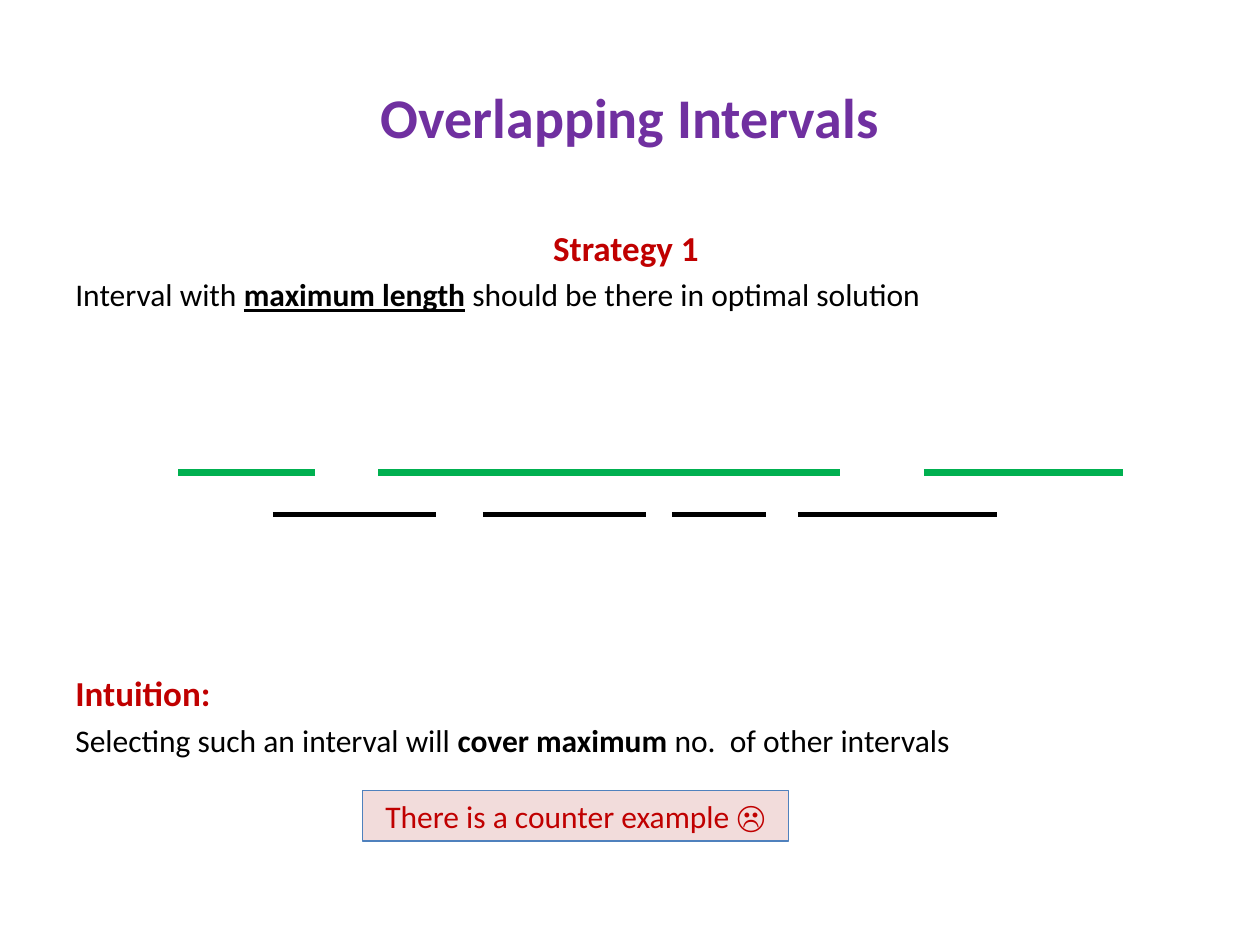
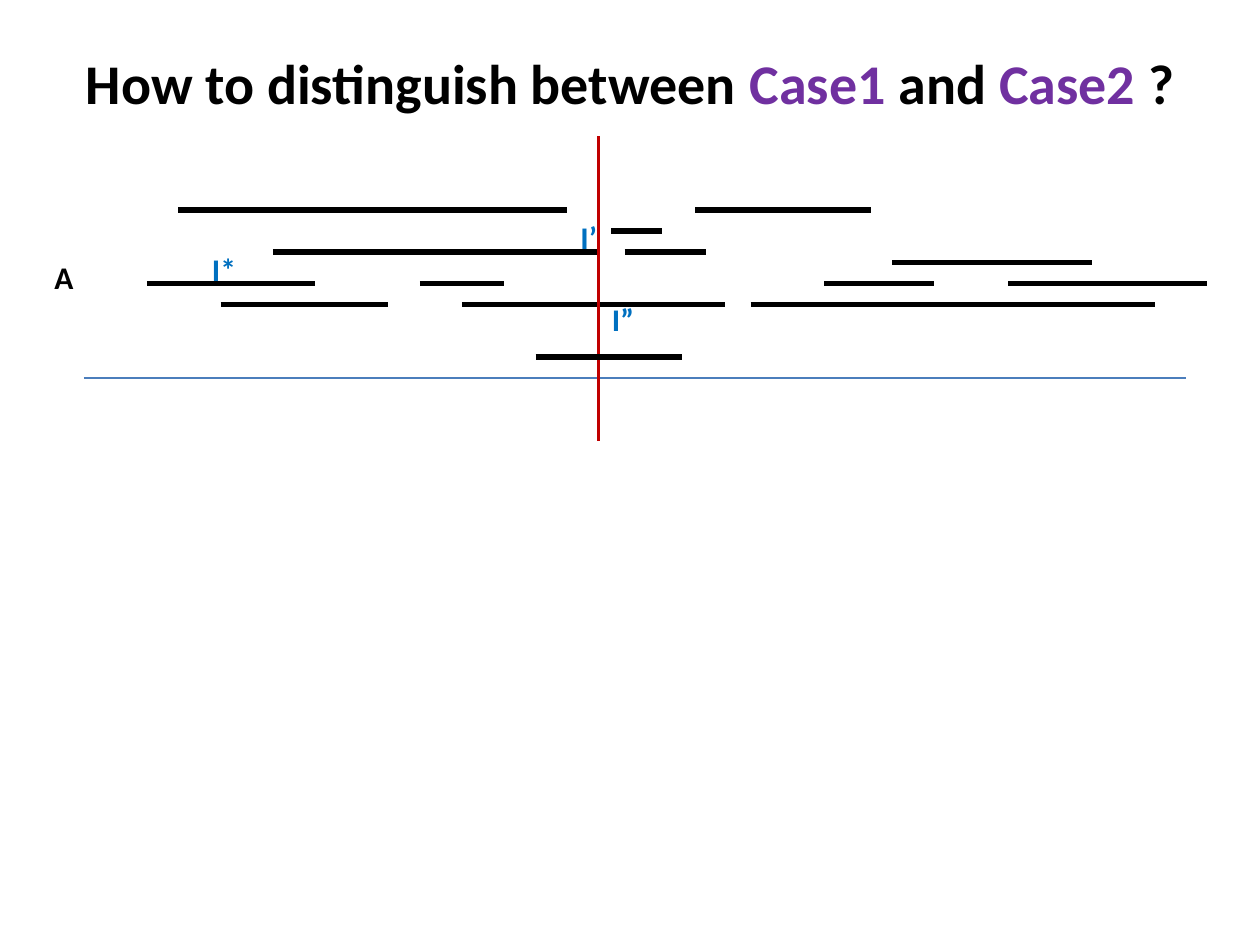
"""Build two slides about overlapping intervals on a 120 by 90 grid."""
from lxml import etree
from pptx import Presentation
from pptx.dml.color import RGBColor
from pptx.enum.shapes import MSO_CONNECTOR, MSO_SHAPE
from pptx.enum.text import MSO_ANCHOR, PP_ALIGN
from pptx.oxml.ns import qn
from pptx.util import Inches, Pt

STRAIGHT = MSO_CONNECTOR.STRAIGHT
RECTANGLE = MSO_SHAPE.RECTANGLE
TOP, MIDDLE = MSO_ANCHOR.TOP, MSO_ANCHOR.MIDDLE
LEFT, CENTER = PP_ALIGN.LEFT, PP_ALIGN.CENTER

SLIDE_WIDTH, SLIDE_HEIGHT = Inches(10), Inches(7.5)
CELL = SLIDE_WIDTH / 120
FONT = "Calibri"
TITLE_BOX = (6, 3.6, 108, 15)
BODY_BOX = (6, 21, 108, 59.4)
LABEL_HEIGHT = 4.8
COLORS = {
    "black": "000000",
    "purple": "7030A0",
    "red": "C00000",
    "green": "00B050",
    "blue": "0070C0",
    "axis": "4B7EBC",
    "border": "4F81BD",
    "pink": "F2DCDB",
}


def cells(*counts):
    """Convert grid cells to slide lengths."""
    return [round(count * CELL) for count in counts]


def color(name):
    """Look up a named colour."""
    return RGBColor.from_string(COLORS[name])


def add_run(paragraph, text, size=18, ink="black", bold=False, underline=False):
    """Append formatted text to a paragraph."""
    run = paragraph.add_run()
    run.text = text
    font = run.font
    font.name, font.size = FONT, Pt(size)
    font.bold, font.underline = bold, underline
    font.color.rgb = color(ink)


def write(paragraph, runs, align=LEFT, before=0):
    """Fill a paragraph with pairs of text and format."""
    paragraph.alignment = align
    paragraph.space_before = Pt(before)
    for text, style in runs:
        add_run(paragraph, text, **style)


def add_text_box(slide, box, anchor=TOP, wrap=True):
    """Add an empty text box and return its text frame."""
    frame = slide.shapes.add_textbox(*cells(*box)).text_frame
    frame.word_wrap = wrap
    frame.vertical_anchor = anchor
    return frame


def add_title(slide, parts, lift=0):
    """Add a title from pairs of text and colour, raised by a bottom margin."""
    frame = add_text_box(slide, TITLE_BOX, MIDDLE)
    frame.margin_bottom += Inches(lift)
    runs = [(text, dict(size=32, ink=ink, bold=True)) for text, ink in parts]
    write(frame.paragraphs[0], runs, CENTER)


def add_label(slide, text, left, top, width, ink):
    """Add a short bold label."""
    frame = add_text_box(slide, (left, top, width, LABEL_HEIGHT), wrap=False)
    write(frame.paragraphs[0], [(text, dict(ink=ink, bold=True))])


def add_line(slide, start, end, ink="black", weight=3):
    """Draw a straight line between two grid points."""
    line = slide.shapes.add_connector(STRAIGHT, *cells(*start, *end))
    line.line.color.rgb = color(ink)
    line.line.width = Pt(weight)
    etree.SubElement(line._element.spPr, qn("a:effectLst"))


def add_intervals(slide, row, spans, ink="black", weight=3):
    """Draw intervals side by side on one grid row."""
    for start, end in spans:
        add_line(slide, (start, row), (end, row), ink, weight)


def add_callout(slide, text, box):
    """Add a bordered remark."""
    shape = slide.shapes.add_shape(RECTANGLE, *cells(*box))
    shape.shadow.inherit = False
    shape.fill.solid()
    shape.fill.fore_color.rgb = color("pink")
    shape.line.color.rgb = color("border")
    shape.line.width = Pt(0.75)
    shape.text_frame.vertical_anchor = MIDDLE
    write(shape.text_frame.paragraphs[0], [(text, dict(ink="red"))], CENTER)


def build_strategy(slide):
    """Show the longest-interval strategy."""
    add_title(slide, [("Overlapping Intervals", "purple")])
    heading = dict(size=20, ink="red", bold=True)
    plain, strong = {}, dict(bold=True)
    frame = add_text_box(slide, BODY_BOX)
    write(frame.paragraphs[0], [("Strategy 1 ", heading)], CENTER)
    write(frame.add_paragraph(), [
        ("Interval with ", plain),
        ("maximum length", dict(bold=True, underline=True)),
        (" should be there in optimal solution", plain),
    ], before=3.8)
    write(frame.add_paragraph(), [("Intuition:", heading)], before=205)
    write(frame.add_paragraph(), [
        ("Selecting such an interval will ", plain),
        ("cover maximum ", strong),
        ("no.  of other intervals", plain),
    ], before=3.8)
    add_intervals(slide, 45, [(17, 30), (36, 80), (88, 107)], "green", 4.5)
    add_intervals(slide, 49, [(26, 41.5), (46, 61.5), (64, 73), (76, 95)])
    add_callout(slide, "There is a counter example ☹", (34.5, 75.3, 40.6, 4.8))


def build_cases(slide):
    """Show the intervals around the first finish time."""
    add_title(slide, [
        ("How to distinguish between ", "black"), ("Case1", "purple"),
        (" and ", "black"), ("Case2 ", "purple"), ("?", "black"),
    ], lift=0.54)
    add_line(slide, (8, 36), (113, 36), "axis", 1.5)
    interval_rows = {
        20: [(17, 54), (66.2, 83)],
        22: [(58.2, 63)],
        24: [(26, 57), (59.5, 67.2)],
        25: [(85, 104)],
        27: [(14, 30), (40, 48), (78.5, 89), (96, 115)],
        29: [(21, 37), (44, 69), (71.5, 110)],
    }
    for row, spans in interval_rows.items():
        add_intervals(slide, row, spans)
    add_line(slide, (57, 13), (57, 42), "red", 2.25)
    add_intervals(slide, 34, [(51, 65)])
    add_label(slide, "A", 4, 24, 4.2, "black")
    add_label(slide, "I*", 19, 23.2, 4.7, "blue")
    add_label(slide, "I’", 54.1, 20.2, 4, "blue")
    add_label(slide, "I”", 57.1, 28, 4.6, "blue")


def main():
    """Build and save the presentation."""
    presentation = Presentation()
    presentation.slide_width, presentation.slide_height = SLIDE_WIDTH, SLIDE_HEIGHT
    blank = presentation.slide_layouts[6]
    for build in (build_strategy, build_cases):
        build(presentation.slides.add_slide(blank))
    presentation.save("out.pptx")


if __name__ == "__main__":
    main()
